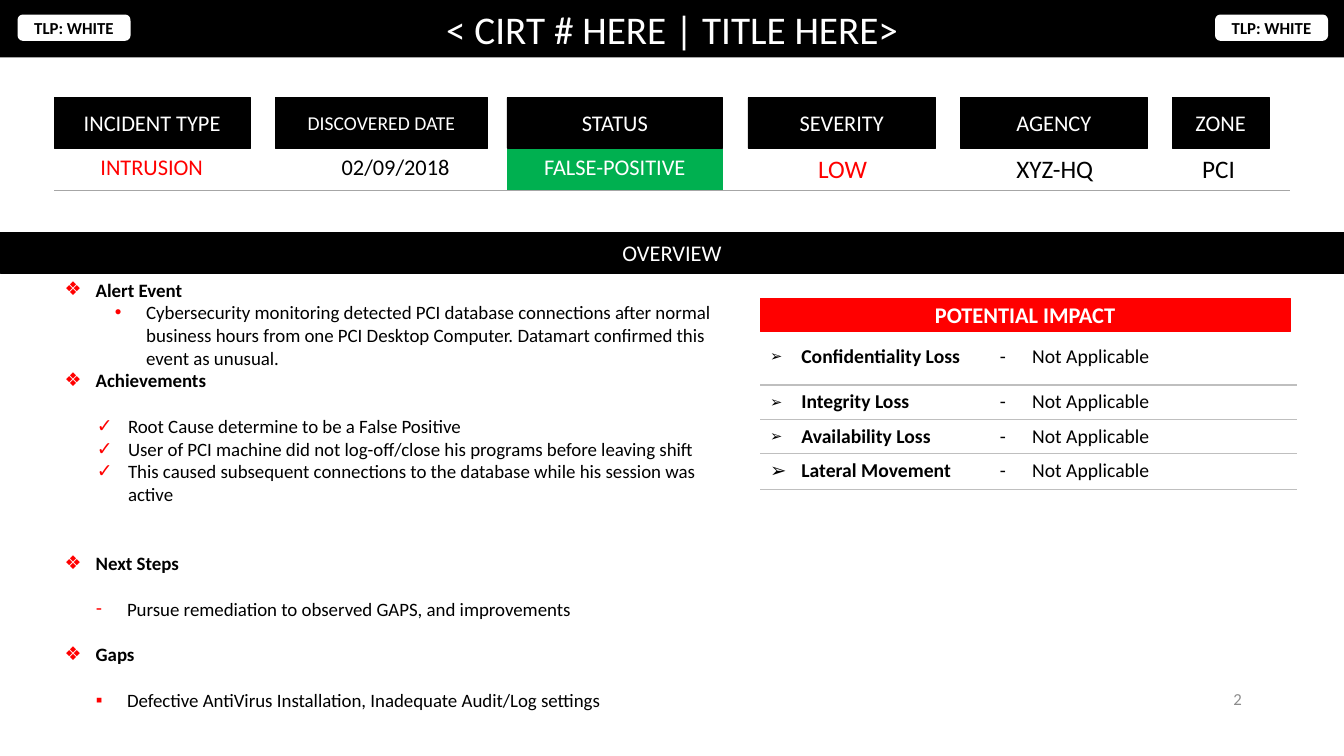
from lxml import etree
from pptx import Presentation
from pptx.dml.color import RGBColor
from pptx.enum.shapes import MSO_SHAPE
from pptx.enum.text import MSO_ANCHOR, MSO_AUTO_SIZE, PP_ALIGN
from pptx.oxml.ns import qn
from pptx.util import Inches, Pt

RECT, ROUNDED = MSO_SHAPE.RECTANGLE, MSO_SHAPE.ROUNDED_RECTANGLE
LEFT, CENTER, RIGHT = PP_ALIGN.LEFT, PP_ALIGN.CENTER, PP_ALIGN.RIGHT
TOP, MIDDLE = MSO_ANCHOR.TOP, MSO_ANCHOR.MIDDLE
NO_RESIZE = MSO_AUTO_SIZE.NONE

COLORS = {"black": "000000", "white": "FFFFFF", "red": "FF0000", "green": "00B050",
          "rule": "A6A6A6", "pale_rule": "BFBFBF", "muted": "8C8C8C"}
COLUMNS, ROWS = 160, 90
PLAIN_TABLE = "{2D5ABB26-0587-4C30-8999-92F81FD0307C}"
HANG = 0.31
LINE = 16.5  # one line of body text, in points


def rgb(name):
    return RGBColor.from_string(COLORS[name])


def write(paragraph, text, size=16, color="black", bold=False, align=LEFT, before=0,
          margin=0, indent=0, bullet=None, bullet_color="black", bullet_percent=100):
    """Fill one paragraph with text and format it."""
    paragraph.alignment = align
    paragraph.space_before, paragraph.space_after = Pt(before), Pt(0)
    run = paragraph.add_run()
    run.text = text
    run.font.name, run.font.size, run.font.bold = "Calibri", Pt(size), bold
    run.font.color.rgb = rgb(color)
    props = paragraph._p.get_or_add_pPr()
    props.set("marL", str(Inches(margin)))
    props.set("indent", str(Inches(indent)))
    if bullet:
        tint = etree.SubElement(props, qn("a:buClr"))
        etree.SubElement(tint, qn("a:srgbClr"), val=COLORS[bullet_color])
        etree.SubElement(props, qn("a:buSzPct"), val=str(bullet_percent * 1000))
        etree.SubElement(props, qn("a:buFont"), typeface="Arial")
        etree.SubElement(props, qn("a:buChar"), char=bullet)


class IncidentSlide:
    """Places elements on a grid of COLUMNS by ROWS."""

    def __init__(self, deck):
        self.col = deck.slide_width / COLUMNS
        self.row = deck.slide_height / ROWS
        self.slide = deck.slides.add_slide(deck.slide_layouts[1])
        self.shapes = self.slide.shapes

    def box(self, left, top, width, height):
        return (round(left * self.col), round(top * self.row),
                round(width * self.col), round(height * self.row))

    def move(self, holder, area, anchor):
        holder.left, holder.top, holder.width, holder.height = self.box(*area)
        frame = holder.text_frame
        frame.word_wrap, frame.auto_size, frame.vertical_anchor = True, NO_RESIZE, anchor
        return frame

    def title(self, text, area):
        holder = self.shapes.title
        frame = self.move(holder, area, MIDDLE)
        holder.fill.solid()
        holder.fill.fore_color.rgb = rgb("black")
        write(frame.paragraphs[0], text, size=28, color="white", align=CENTER)

    def body(self, items, area):
        frame = self.move(self.slide.placeholders[1], area, TOP)
        for i, (text, level, style) in enumerate(items):
            paragraph = frame.add_paragraph() if i else frame.paragraphs[0]
            paragraph.level = level
            write(paragraph, text, size=13.5, indent=-HANG, bullet_color="red", **style)

    def bar(self, text, area, shape=RECT, fill="black", weight=0.5, **style):
        bar = self.shapes.add_shape(shape, *self.box(*area))
        bar.shadow.inherit = False
        bar.fill.solid()
        bar.fill.fore_color.rgb = bar.line.color.rgb = rgb(fill)
        bar.line.width = Pt(weight)
        bar.text_frame.vertical_anchor = MIDDLE
        bar.text_frame.word_wrap = True
        write(bar.text_frame.paragraphs[0], text, align=CENTER, **style)

    def label(self, text, area, **style):
        holder = self.shapes.add_textbox(*self.box(*area))
        write(self.move(holder, area, MIDDLE).paragraphs[0], text, **style)

    def table(self, left, top, widths, heights):
        area = self.box(left, top, sum(widths), sum(heights))
        frame = self.shapes.add_table(len(heights), len(widths), *area)
        table = frame.table
        table.first_row = table.horz_banding = False
        table._tbl.tblPr.find(qn("a:tableStyleId")).text = PLAIN_TABLE
        for column, width in zip(table.columns, widths):
            column.width = round(width * self.col)
        for row, height in zip(table.rows, heights):
            row.height = round(height * self.row)
        return table

    def cell(self, cell, text, rule, weight, fill=None, **style):
        if fill:
            cell.fill.solid()
            cell.fill.fore_color.rgb = rgb(fill)
        else:
            cell.fill.background()
        border = etree.Element(qn("a:lnB"), w=str(Pt(weight)))
        paint = etree.SubElement(border, qn("a:solidFill"))
        etree.SubElement(paint, qn("a:srgbClr"), val=COLORS[rule])
        cell._tc.get_or_add_tcPr().insert(0, border)
        write(cell.text_frame.paragraphs[0], text, **style)


def main():
    deck = Presentation()
    deck.slide_width, deck.slide_height = Inches(13.33), Inches(7.5)
    page = IncidentSlide(deck)
    left_edge, impact_edge = 6.48, 90.48

    # Title band with a classification badge at each end
    page.title("< CIRT # HERE | TITLE HERE>", (0, 0, COLUMNS, 6.84))
    for badge_left in (2.28, 144.84):
        page.bar("TLP: WHITE", (badge_left, 1.92, 13.08, 2.76), shape=ROUNDED,
                 fill="white", weight=2.25, size=12, bold=True)

    # Incident facts: headings, then one row of values
    headings = [("INCIDENT TYPE", left_edge, 23.28, 16), ("DISCOVERED DATE", 32.76, 25.32, 14),
                ("STATUS", 60.36, 25.68, 16), ("SEVERITY", 89.04, 22.32, 16),
                ("AGENCY", 114.36, 22.2, 16), ("ZONE", 139.56, 11.52, 16)]
    for heading, left, width, size in headings:
        page.bar(heading, (left, 11.64, width, 6), size=size, color="white")

    facts = [("INTRUSION", 23.16, {"color": "red"}),
             ("02/09/2018", 30.72, {}),
             ("FALSE-POSITIVE", 25.68, {"color": "white", "fill": "green"}),
             ("LOW", 28.56, {"size": 18, "color": "red"}),
             ("XYZ-HQ", 21.96, {"size": 18}),
             ("PCI", 17.04, {"size": 18})]
    fact_table = page.table(left_edge, 17.76, [width for _, width, _ in facts], [4.8])
    for i, (fact, _, style) in enumerate(facts):
        page.cell(fact_table.cell(0, i), fact, "rule", 0.5, align=CENTER, **style)
    fact_table.cell(0, 1).margin_left = Inches(0.45)

    # Overview
    page.bar("OVERVIEW", (0, 27.72, COLUMNS, 4.8), color="white")
    section = {"bullet": "❖", "margin": HANG, "bold": True}
    done = {"bullet": "✓", "margin": 0.63}
    page.body([
        ("Alert Event", 0, section),
        ("Cybersecurity monitoring detected PCI database connections after normal business "
         "hours from one PCI Desktop Computer. Datamart confirmed this event as unusual.",
         1, {"bullet": "•", "margin": 0.81}),
        ("Achievements", 0, section),
        ("Root Cause determine to be a False Positive", 0, {**done, "before": LINE}),
        ("User of PCI machine did not log-off/close his programs before leaving shift", 0, done),
        ("This caused subsequent connections to the database while his session was active",
         0, done),
        ("Next Steps", 0, {**section, "before": 2 * LINE}),
        ("Pursue remediation to observed GAPS, and improvements",
         0, {"bullet": "-", "margin": 0.62, "before": LINE}),
        ("Gaps", 0, {**section, "before": LINE}),
        ("Defective AntiVirus Installation, Inadequate Audit/Log settings",
         0, {"bullet": "▪", "margin": 0.62, "before": LINE}),
    ], (left_edge, 32.52, 81.12, 53.04))

    # Potential impact
    page.bar("POTENTIAL IMPACT", (impact_edge, 35.52, 63.12, 3.96), fill="red",
             color="white", bold=True)
    impacts = [("Confidentiality Loss", 75), ("Integrity Loss", 75),
               ("Availability Loss", 75), ("Lateral Movement", 100)]
    impact_table = page.table(impact_edge, 40.44, [27.36, 36.6], [5.4, 4.08, 4.08, 4.32])
    for i, (impact, percent) in enumerate(impacts):
        page.cell(impact_table.cell(i, 0), impact, "pale_rule", 1, size=14, bold=True,
                  margin=HANG, indent=-HANG, bullet="➢", bullet_percent=percent)
        page.cell(impact_table.cell(i, 1), "-\tNot Applicable", "pale_rule", 1, size=14,
                  margin=0.32, indent=-0.32)

    # Page number
    page.label("2", (113.04, 80.76, 36, 4.8), size=12, color="muted", align=RIGHT)

    deck.save("out.pptx")


if __name__ == "__main__":
    main()
